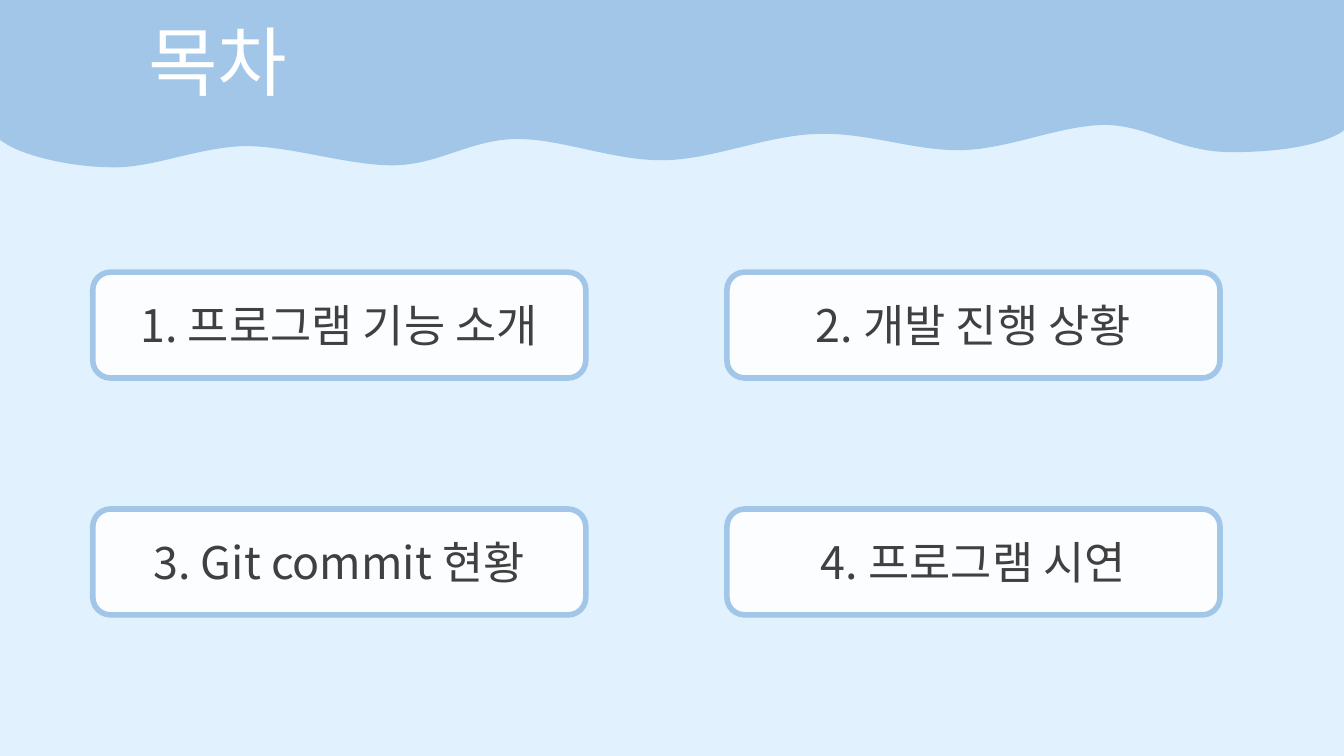
import dataclasses

import pptx
import pptx.dml.color
import pptx.enum.shapes
import pptx.enum.text
import pptx.oxml.ns
import pptx.slide
import pptx.text.text
import pptx.util
import lxml.etree

EMU_PER_PX = 9144
PAGE_WIDTH, PAGE_HEIGHT = 1333, 750

Point = tuple[int, int]
Curve = tuple[Point, Point, Point]


@dataclasses.dataclass(frozen=True)
class Theme:
    font: str = "Noto Sans CJK KR"
    background: str = "E2F1FE"
    wave: str = "A1C6E7"
    card: str = "FBFDFF"
    title: str = "FFFFFF"
    label: str = "404040"
    title_size: int = 54
    label_size: int = 32
    border_width: int = 4


@dataclasses.dataclass(frozen=True)
class Area:
    left: int
    top: int
    width: int
    height: int

    def emu(self) -> tuple[int, int, int, int]:
        return px(self.left), px(self.top), px(self.width), px(self.height)


@dataclasses.dataclass(frozen=True)
class Card:
    label: str
    column: int
    row: int

    def area(self) -> Area:
        return Area(92 + 629 * self.column, 270 + 235 * self.row, 489, 105)


THEME = Theme()
TITLE_AREA = Area(137, 10, 428, 101)
LABELS = ("1. 프로그램 기능 소개", "2. 개발 진행 상황", "3. Git commit 현황", "4. 프로그램 시연")
CARDS = [Card(label, index % 2, index // 2) for index, label in enumerate(LABELS)]
WAVE_START: Point = (1222, 151)
WAVE_CURVES: tuple[Curve, ...] = (
    ((1168, 151), (1141, 125), (1097, 124)),
    ((1052, 124), (1001, 148), (954, 149)),
    ((906, 150), (860, 131), (811, 133)),
    ((761, 134), (709, 158), (659, 159)),
    ((609, 160), (555, 137), (511, 138)),
    ((466, 139), (436, 163), (392, 164)),
    ((347, 165), (290, 145), (243, 145)),
    ((197, 146), (151, 167), (112, 166)),
    ((73, 166), (29, 156), (8, 144)),
)
WAVE_EDGE: tuple[Point, ...] = (
    (0, 139), (0, 0), (PAGE_WIDTH, 0), (PAGE_WIDTH, 129), (1331, 131),
)
WAVE_CLOSING: Curve = ((1310, 144), (1270, 151), WAVE_START)


def px(length: int) -> int:
    return length * EMU_PER_PX


def color(code: str) -> pptx.dml.color.RGBColor:
    return pptx.dml.color.RGBColor.from_string(code)


def write(para: pptx.text.text._Paragraph, text: str, size: int, code: str) -> None:
    para.text = text
    para.font.name = THEME.font
    para.font.size = pptx.util.Pt(size)
    para.font.color.rgb = color(code)
    properties = para._p.pPr.find(pptx.oxml.ns.qn("a:defRPr"))
    east_asian = lxml.etree.SubElement(properties, pptx.oxml.ns.qn("a:ea"))
    east_asian.set("typeface", THEME.font)


def bend(segment: lxml.etree._Element, curve: Curve) -> None:
    segment.tag = pptx.oxml.ns.qn("a:cubicBezTo")
    for point in list(segment):
        segment.remove(point)
    for x, y in curve:
        point = lxml.etree.SubElement(segment, pptx.oxml.ns.qn("a:pt"))
        point.set("x", str(x))
        point.set("y", str(y))


def draw_wave(page: pptx.slide.Slide) -> None:
    corners = [curve[-1] for curve in WAVE_CURVES] + [*WAVE_EDGE, WAVE_START]
    builder = page.shapes.build_freeform(*WAVE_START, scale=float(EMU_PER_PX))
    builder.add_line_segments(corners, close=True)
    wave = builder.convert_to_shape()
    segments = list(wave._element.iter(pptx.oxml.ns.qn("a:lnTo")))
    for segment, curve in zip(segments, WAVE_CURVES):
        bend(segment, curve)
    bend(segments[len(corners) - 1], WAVE_CLOSING)
    wave.shadow.inherit = False
    wave.fill.solid()
    wave.fill.fore_color.rgb = color(THEME.wave)
    wave.line.fill.background()


def draw_title(page: pptx.slide.Slide) -> None:
    frame = page.shapes.add_textbox(*TITLE_AREA.emu()).text_frame
    frame.word_wrap = True
    frame.auto_size = pptx.enum.text.MSO_AUTO_SIZE.SHAPE_TO_FIT_TEXT
    write(frame.paragraphs[0], "목차", THEME.title_size, THEME.title)


def draw_card(page: pptx.slide.Slide, card: Card) -> None:
    box = page.shapes.add_shape(
        pptx.enum.shapes.MSO_SHAPE.ROUNDED_RECTANGLE, *card.area().emu()
    )
    box.shadow.inherit = False
    box.fill.solid()
    box.fill.fore_color.rgb = color(THEME.card)
    box.line.color.rgb = color(THEME.wave)
    box.line.width = pptx.util.Pt(THEME.border_width)
    frame = box.text_frame
    frame.word_wrap = True
    frame.vertical_anchor = pptx.enum.text.MSO_ANCHOR.MIDDLE
    para = frame.paragraphs[0]
    para.alignment = pptx.enum.text.PP_ALIGN.CENTER
    write(para, card.label, THEME.label_size, THEME.label)


def main() -> None:
    deck = pptx.Presentation()
    deck.slide_width, deck.slide_height = px(PAGE_WIDTH), px(PAGE_HEIGHT)
    page = deck.slides.add_slide(deck.slide_layouts[6])
    page.background.fill.solid()
    page.background.fill.fore_color.rgb = color(THEME.background)
    draw_wave(page)
    draw_title(page)
    for card in CARDS:
        draw_card(page, card)
    deck.save("out.pptx")


if __name__ == "__main__":
    main()
